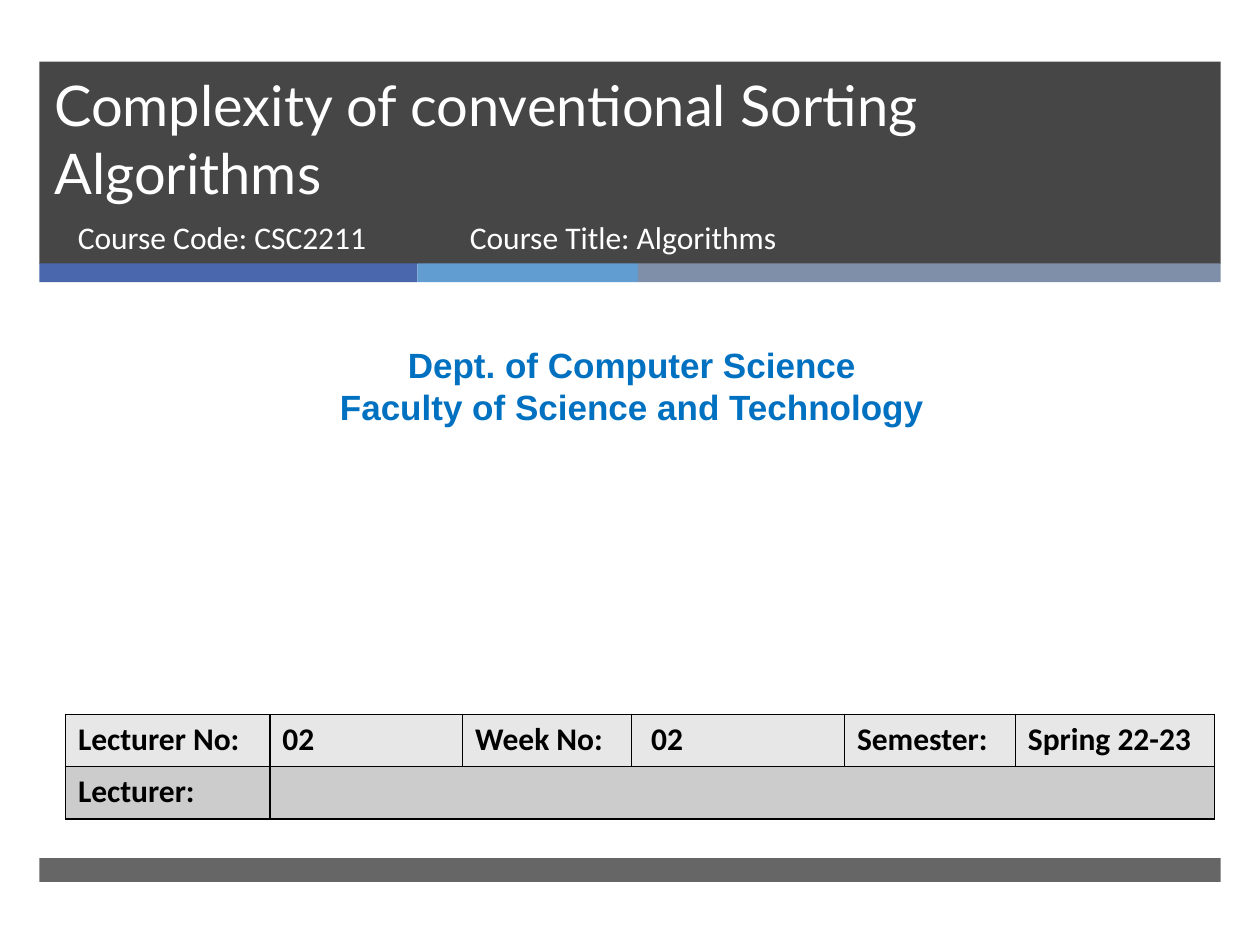
from lxml import etree
from pptx import Presentation
from pptx.dml.color import RGBColor
from pptx.enum import shapes, text
from pptx.oxml import ns
from pptx.util import Pt


def rgb(code):
    return RGBColor.from_string(code)


def write(frame, words, size=18, font="Calibri", color="FFFFFF", bold=False,
          align=text.PP_ALIGN.LEFT, anchor=text.MSO_ANCHOR.TOP):
    frame.word_wrap = True
    frame.vertical_anchor = anchor
    frame.text = words
    for para in frame.paragraphs:
        para.alignment = align
        para.line_spacing = 1.0
        para.space_before = Pt(0)
        for run in para.runs:
            run.font.size = Pt(size)
            run.font.name = font
            run.font.bold = bold
            run.font.color.rgb = rgb(color)


deck = Presentation()
deck.slide_width, deck.slide_height = Pt(720), Pt(540)
slide = deck.slides.add_slide(deck.slide_layouts[5])

# Header, accent strip and footer: left, top, width, height, colour, opacity
bars = [
    (22.5, 35.2, 675, 115.6, "262626", 85),
    (22.5, 150.5, 216, 10.8, "4A66AC", 100),
    (238.5, 150.5, 126, 10.8, "629DD1", 100),
    (364.5, 150.5, 333, 10.8, "7F8FA9", 100),
    (22.5, 490.3, 675, 13.7, "262626", 70),
]
for *box, color, alpha in bars:
    bar = slide.shapes.add_shape(shapes.MSO_SHAPE.RECTANGLE, *map(Pt, box))
    bar.shadow.inherit = False
    bar.line.fill.background()
    bar.fill.solid()
    bar.fill.fore_color.rgb = rgb(color)
    if alpha < 100:
        tint = bar._element.spPr.find(".//" + ns.qn("a:srgbClr"))
        etree.SubElement(tint, ns.qn("a:alpha"), val=str(alpha * 1000))

# Title, raised above the header bar
title = slide.shapes.title
title.left, title.top, title.width, title.height = map(Pt, (23.8, 35.2, 615, 85.8))
write(title.text_frame, "Complexity of conventional Sorting Algorithms",
      size=32, font="Lato", anchor=text.MSO_ANCHOR.BOTTOM)
title.text_frame.auto_size = text.MSO_AUTO_SIZE.NONE
slide.shapes._spTree.append(title._element)

# Course details and department
dept = dict(size=20, font="Arial", color="0070C0", bold=True,
            align=text.PP_ALIGN.CENTER)
notes = [
    ((37.4, 121, 219.6, 38), "Course Code: CSC2211", {}),
    ((261.4, 121, 327.6, 38), "Course Title: Algorithms", {}),
    ((5.8, 193, 710.6, 55.4),
     "Dept. of Computer Science\nFaculty of Science and Technology", dept),
]
for box, words, style in notes:
    write(slide.shapes.add_textbox(*map(Pt, box)).text_frame, words, **style)

# Lecture table
rows = [
    ("E7E7E7", ["Lecturer No:", "02", "Week No:", " 02", "Semester:", "Spring 22-23"]),
    ("CCCCCC", ["Lecturer:", "", "", "", "", ""]),
]
widths = [116.8, 110.2, 96.5, 121.7, 97.7, 113.8]
grid = slide.shapes.add_table(2, 6, Pt(37.4), Pt(408.2), Pt(sum(widths)), Pt(59.8)).table
for col, width in zip(grid.columns, widths):
    col.width = Pt(width)
for r, (color, words) in enumerate(rows):
    for c, word in enumerate(words):
        cell = grid.cell(r, c)
        write(cell.text_frame, word, color="000000", bold=True)
        props = cell._tc.get_or_add_tcPr()
        for side in ("a:lnL", "a:lnR", "a:lnT", "a:lnB"):
            edge = etree.SubElement(props, ns.qn(side), w=str(Pt(1)))
            fill = etree.SubElement(edge, ns.qn("a:solidFill"))
            etree.SubElement(fill, ns.qn("a:srgbClr"), val="000000")
        cell.fill.solid()
        cell.fill.fore_color.rgb = rgb(color)
grid.cell(1, 1).merge(grid.cell(1, 5))

deck.save("out.pptx")
